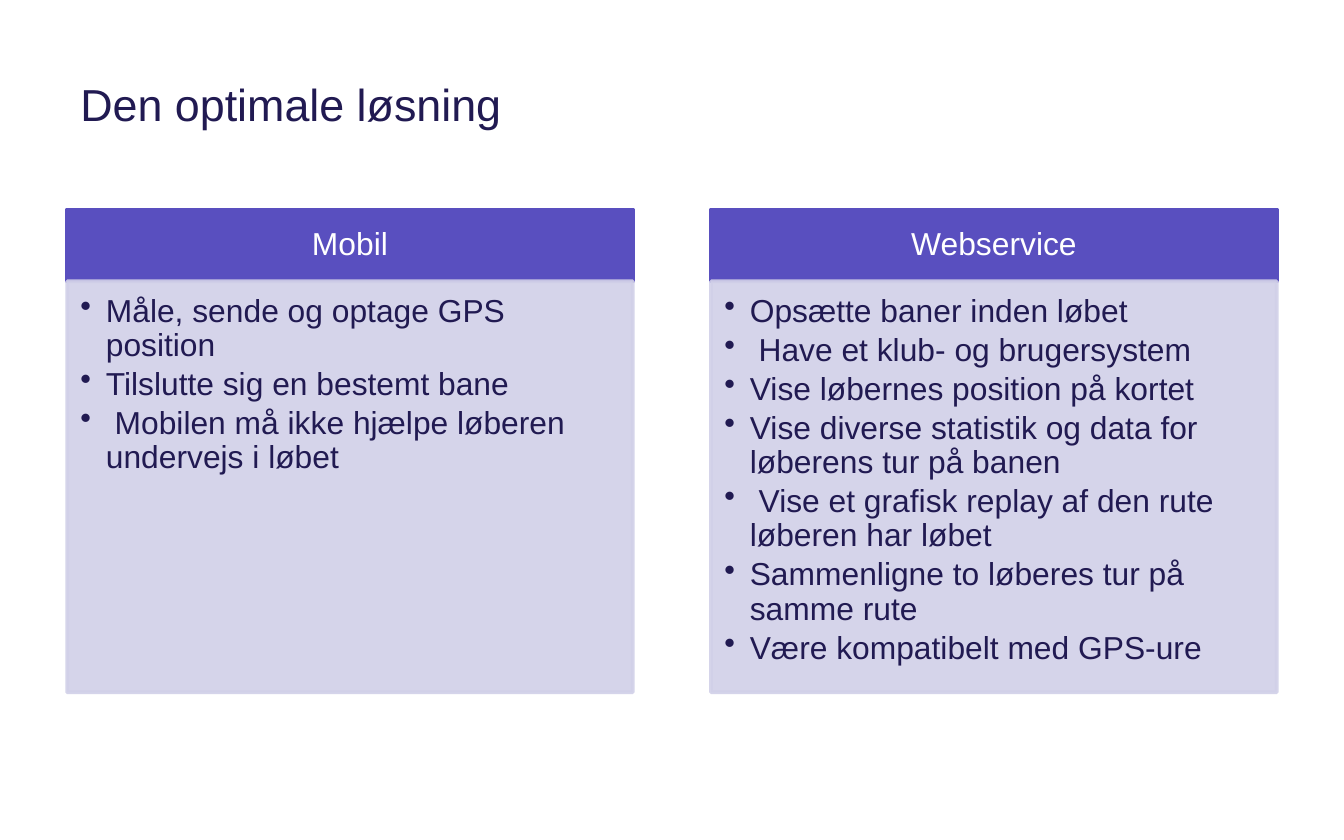
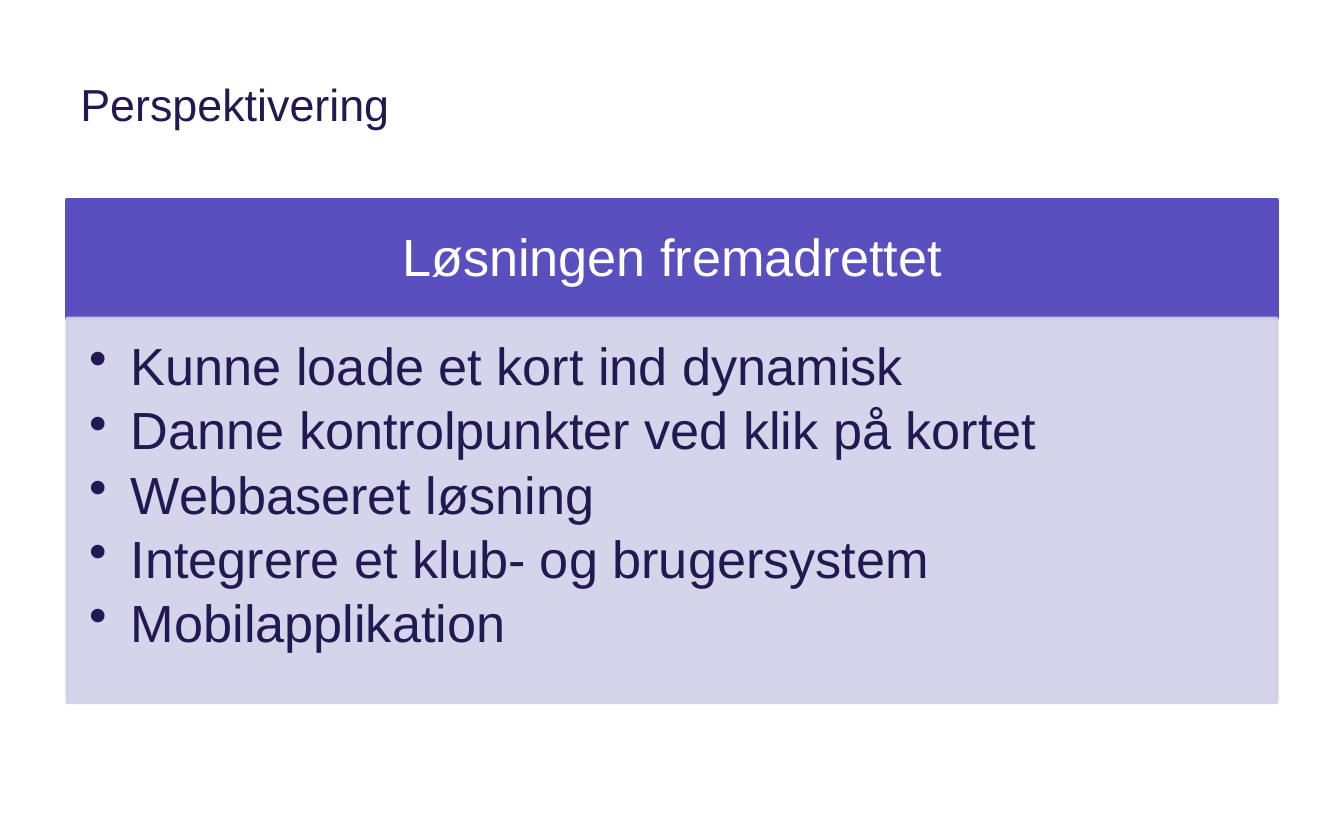
"""Builds two slides of titled panels with bulleted lists."""
from dataclasses import dataclass

from lxml.etree import SubElement
from pptx import Presentation
from pptx.dml.color import RGBColor as Color
from pptx.enum.shapes import MSO_SHAPE as Shape
from pptx.enum.text import MSO_ANCHOR as Anchor, PP_ALIGN as Align
from pptx.oxml.ns import qn
from pptx.util import Cm, Pt

SLIDES = [
    {
        "title": "Den optimale løsning", "size": 17, "top": 3.96, "body": 7.77,
        "panels": [
            ("Mobil", [
                "Måle, sende og optage GPS position",
                "Tilslutte sig en bestemt bane",
                " Mobilen må ikke hjælpe løberen undervejs i løbet",
            ]),
            ("Webservice", [
                "Opsætte baner inden løbet",
                " Have et klub- og brugersystem",
                "Vise løbernes position på kortet",
                "Vise diverse statistik og data for løberens tur på banen",
                " Vise et gra\ufb01sk replay af den rute løberen har løbet",
                "Sammenligne to løberes tur på samme rute",
                "Være kompatibelt med GPS-ure",
            ]),
        ],
    },
    {
        "title": "Perspektivering", "size": 28, "top": 3.78, "body": 7.26,
        "panels": [
            ("Løsningen fremadrettet", [
                "Kunne loade et kort ind dynamisk",
                "Danne kontrolpunkter ved klik på kortet",
                "Webbaseret løsning",
                "Integrere et klub- og brugersystem",
                "Mobilapplikation",
            ]),
        ],
    },
]


@dataclass(frozen=True)
class Theme:
    font: str = "Arial"
    title_size: int = 24
    ink: str = "211A52"
    paper: str = "FFFFFF"
    head: str = "594FBF"
    body: str = "D1D0E8"
    body_opacity: int = 90
    line_width: int = 2


THEME = Theme()
MARGIN, CONTENT_WIDTH, GAP = 1.27, 22.86, 1.48
HEAD_PER_POINT = 0.08
HEAD_INSETS = (0.56, 0.32, 0.56, 0.32)
BODY_INSETS = (0.42, 0.42, 0.56, 0.63)
INDENT = 0.8


def write(box, lines, size, color, align=Align.LEFT, anchor=Anchor.TOP,
          insets=None, line_spacing=None, after=0, bullets=False):
    frame = box.text_frame
    frame.word_wrap = True
    frame.vertical_anchor = anchor
    if insets:
        (frame.margin_left, frame.margin_top,
         frame.margin_right, frame.margin_bottom) = [Pt(size * part) for part in insets]
    for index, line in enumerate(lines):
        para = frame.add_paragraph() if index else frame.paragraphs[0]
        para.alignment = align
        para.line_spacing = line_spacing
        para.space_after = Pt(size * after)
        span = para.add_run()
        span.text = line
        span.font.name = THEME.font
        span.font.size = Pt(size)
        span.font.color.rgb = Color.from_string(color)
        if bullets:
            para.level = 1
            props = para._p.get_or_add_pPr()
            props.set("marL", str(Pt(size * INDENT)))
            props.set("indent", str(-Pt(size * INDENT)))
            SubElement(props, qn("a:buChar"), char="•")


def add_block(page, left, top, width, height, color, opacity=100):
    box = page.shapes.add_shape(
        Shape.RECTANGLE, Cm(left), Cm(top), Cm(width), Cm(height))
    box.shadow.inherit = False
    box.fill.solid()
    box.line.width = Pt(THEME.line_width)
    for paint in (box.fill.fore_color, box.line.color):
        paint.rgb = Color.from_string(color)
    if opacity < 100:
        for swatch in box._element.spPr.iter(qn("a:srgbClr")):
            SubElement(swatch, qn("a:alpha"), val=str(opacity * 1000))
    return box


def add_panel(page, heading, items, left, top, width, body_height, size):
    head_height = size * HEAD_PER_POINT
    head = add_block(page, left, top, width, head_height, THEME.head)
    write(head, [heading], size, THEME.paper, align=Align.CENTER,
          anchor=Anchor.MIDDLE, insets=HEAD_INSETS, line_spacing=0.9, after=0.35)
    body = add_block(page, left, top + head_height, width, body_height,
                     THEME.body, THEME.body_opacity)
    write(body, items, size, THEME.ink, insets=BODY_INSETS,
          line_spacing=0.9, after=0.15, bullets=True)


def add_page(deck, content):
    page = deck.slides.add_slide(deck.slide_layouts[6])
    page.background.fill.solid()
    page.background.fill.fore_color.rgb = Color.from_string(THEME.paper)
    title = page.shapes.add_textbox(Cm(MARGIN), Cm(0.64), Cm(CONTENT_WIDTH), Cm(2.64))
    write(title, [content["title"]], THEME.title_size, THEME.ink, anchor=Anchor.MIDDLE)
    panels = content["panels"]
    width = (CONTENT_WIDTH - GAP * (len(panels) - 1)) / len(panels)
    for column, (heading, items) in enumerate(panels):
        add_panel(page, heading, items, MARGIN + column * (width + GAP),
                  content["top"], width, content["body"], content["size"])


def main():
    deck = Presentation()
    deck.slide_width, deck.slide_height = Cm(25.4), Cm(15.88)
    for content in SLIDES:
        add_page(deck, content)
    deck.save("out.pptx")


main()
